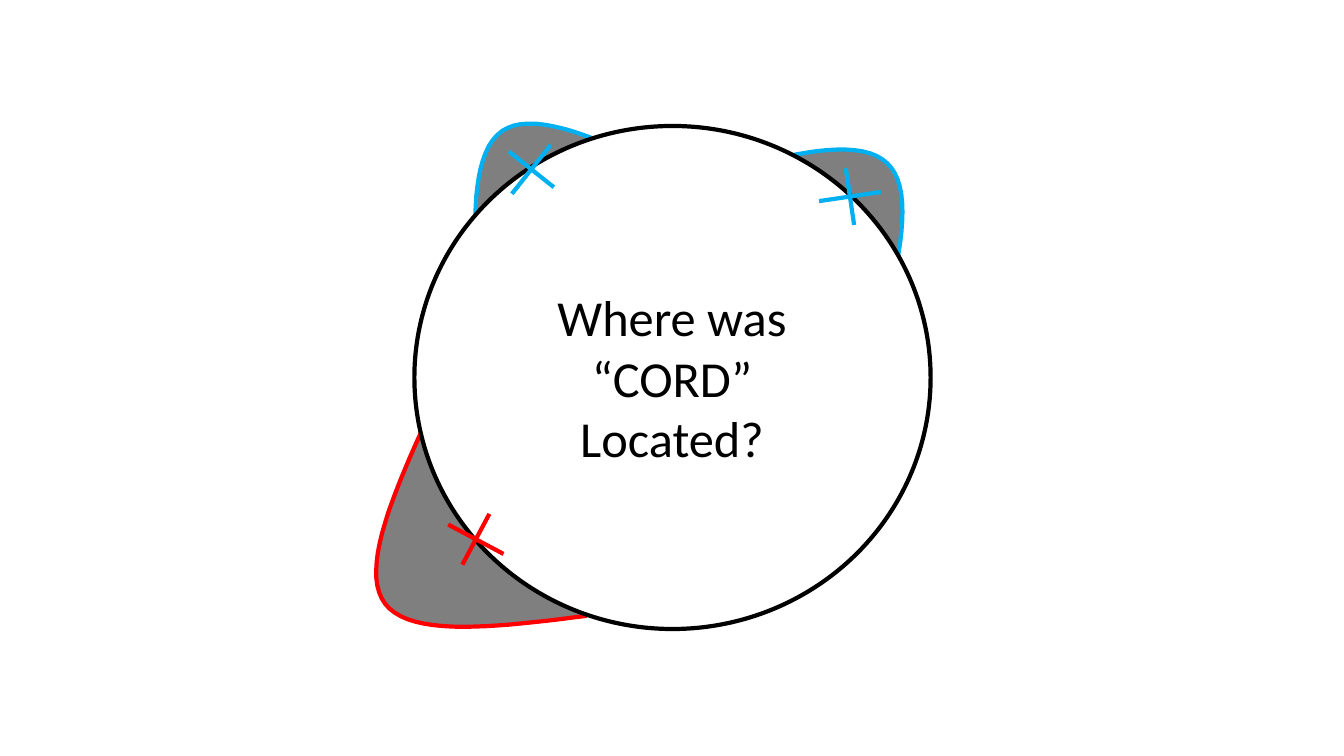
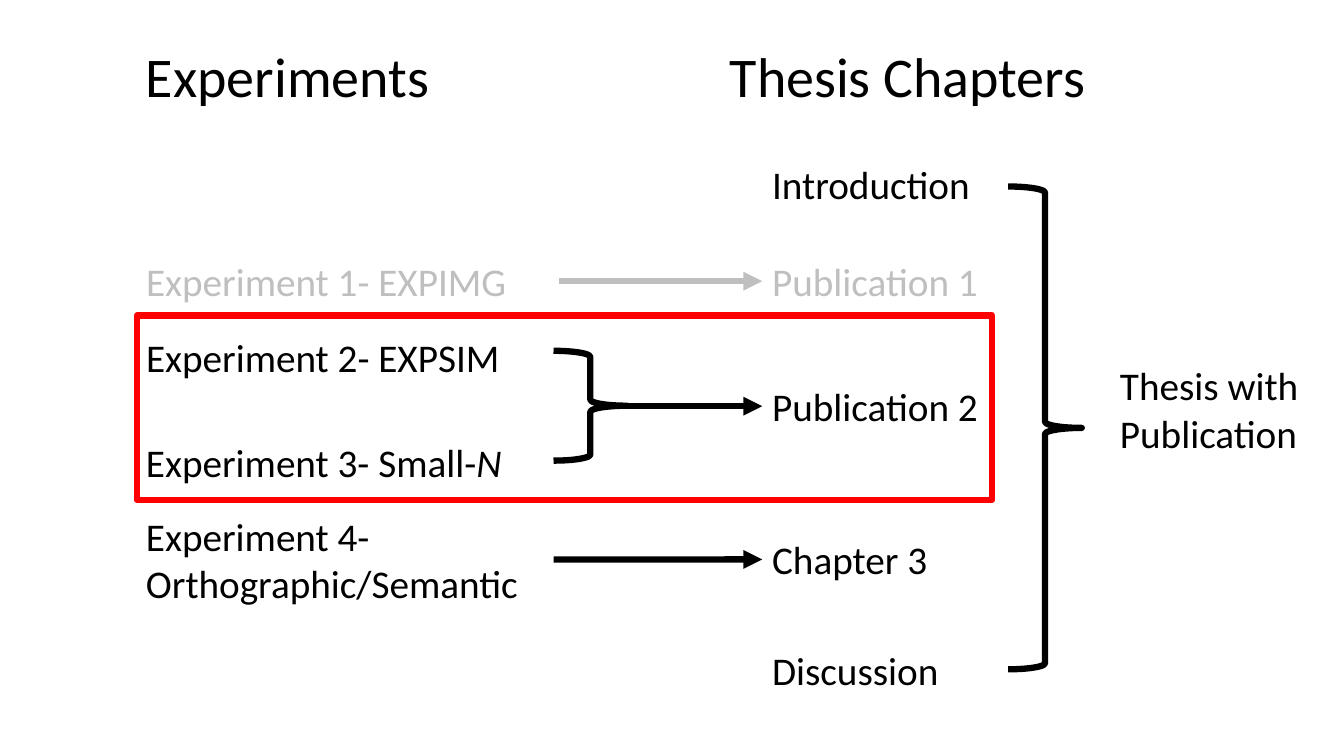
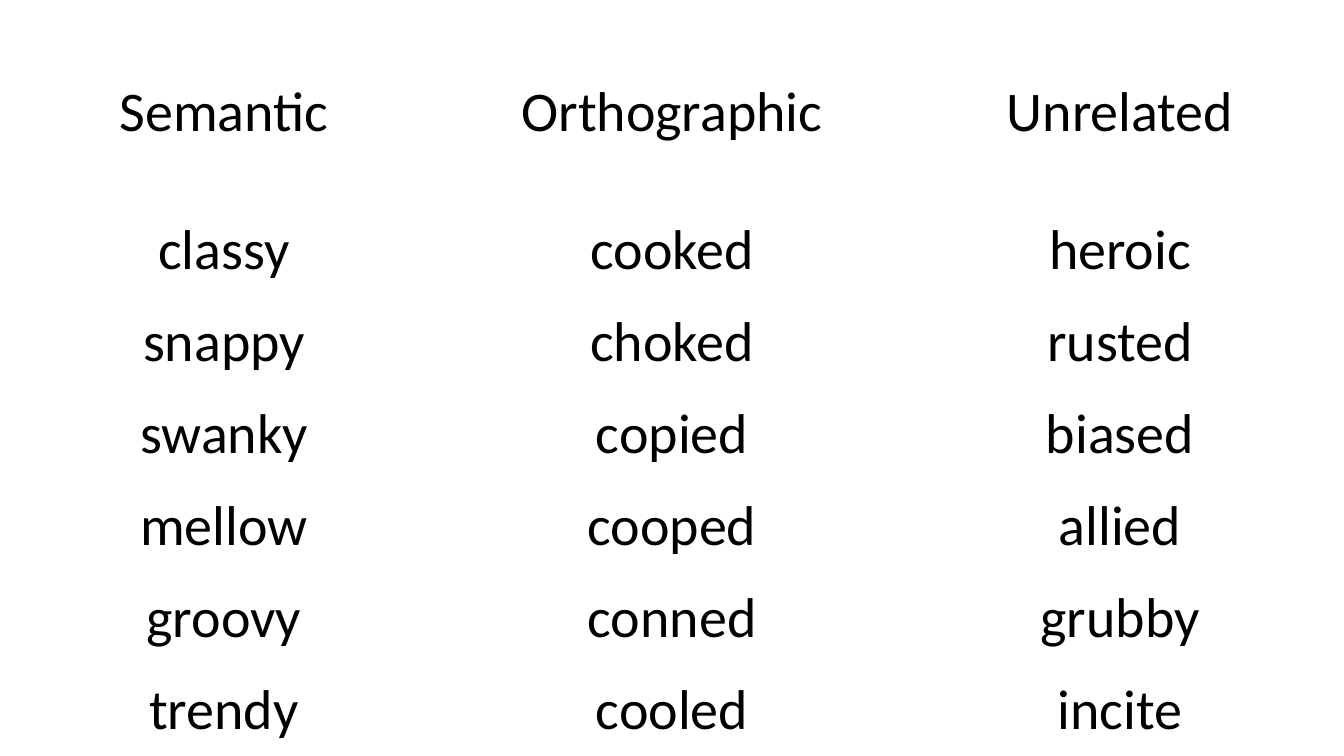
from math import cos, radians, sin

from lxml.etree import SubElement
from pptx import Presentation
from pptx.dml.color import RGBColor
from pptx.enum.shapes import MSO_CONNECTOR, MSO_SHAPE as SHAPE
from pptx.enum.text import MSO_ANCHOR, MSO_AUTO_SIZE, PP_ALIGN
from pptx.oxml.ns import qn
from pptx.util import Inches, Pt

WIDTH, HEIGHT = 13.33, 7.5
FONT = "Calibri"
BLACK, WHITE, FADED = "000000", "FFFFFF", "BFBFBF"
RED, BLUE = "FF0000", "00B0F0"
THIN, THICK = 3, 4.5
HEADING, BODY = 40, 28

# Thesis overview: left edges of the columns and centres of the rows
LEFT_COL, RIGHT_COL = 1.35, 7.56
INTRO_ROW, EXP1_ROW, EXP2_ROW, PUB2_ROW = 1.83, 2.79, 3.54, 4.03
EXP3_ROW, EXP4_ROW, DISCUSSION_ROW = 4.58, 5.55, 6.65

WORDS = [
    ("Semantic", "Orthographic", "Unrelated"),
    ("classy", "cooked", "heroic"),
    ("snappy", "choked", "rusted"),
    ("swanky", "copied", "biased"),
    ("mellow", "cooped", "allied"),
    ("groovy", "conned", "grubby"),
    ("trendy", "cooled", "incite"),
]


def rgb(hex_color):
    return RGBColor.from_string(hex_color)


def style_line(shape, color, width):
    shape.line.color.rgb = rgb(color)
    shape.line.width = Pt(width)


def style_text(tf, size, color=BLACK, align=PP_ALIGN.LEFT):
    for p in tf.paragraphs:
        p.alignment = align
        p.font.size = Pt(size)
        p.font.name = FONT
        p.font.color.rgb = rgb(color)
        for r in p.runs:
            r.font.size, r.font.name = Pt(size), FONT
            r.font.color.rgb = rgb(color)


def add_outline(s, kind, box, color, width, fill=None):
    """Add a preset shape that is hollow unless a fill is given."""
    shape = s.shapes.add_shape(kind, *map(Inches, box))
    shape.shadow.inherit = False
    if fill:
        shape.fill.solid()
        shape.fill.fore_color.rgb = rgb(fill)
    else:
        shape.fill.background()
    style_line(shape, color, width)
    return shape


def add_line(shapes, start, end, color, width):
    line = shapes.add_connector(MSO_CONNECTOR.STRAIGHT, *map(Inches, (*start, *end)))
    style_line(line, color, width)
    SubElement(line._element.spPr, qn("a:effectLst"))
    return line


def add_arrow(s, x, y, target, color=BLACK):
    """Draw an arrow from (x, y) to the left side of the target."""
    arrow = add_line(s.shapes, (x, y), (RIGHT_COL, y), color, THICK)
    arrow.end_connect(target, 1)
    SubElement(arrow.line._get_or_add_ln(), qn("a:tailEnd"), type="triangle")


def add_label(s, text, x, middle, width, size=BODY, color=BLACK,
              height=0.57, wrap=False, align=PP_ALIGN.LEFT):
    """Add a text box whose vertical centre lies at middle."""
    box = s.shapes.add_textbox(*map(Inches, (x, middle - height / 2, width, height)))
    tf = box.text_frame
    tf.word_wrap = wrap
    tf.auto_size = MSO_AUTO_SIZE.SHAPE_TO_FIT_TEXT
    tf.text = text
    style_text(tf, size, color, align)
    return box


def bezier(p0, p1, p2, p3, steps=20):
    """Points along a cubic curve, without its start."""
    for i in range(1, steps + 1):
        t = i / steps
        u = 1 - t
        yield tuple(u**3 * a + 3 * u * u * t * b + 3 * u * t * t * c + t**3 * d
                    for a, b, c, d in zip(p0, p1, p2, p3))


def add_bump(s, knots, color):
    """Add a half-transparent bump: a start point and two cubic curves."""
    points = [*bezier(*knots[:4]), *bezier(*knots[3:])]
    builder = s.shapes.build_freeform(*knots[0], scale=Inches(1))
    # Finer units than an inch keep the curve smooth
    builder = s.shapes.build_freeform(
        *(round(v * 1000) for v in knots[0]), scale=Inches(1) / 1000)
    builder.add_line_segments(
        [(round(x * 1000), round(y * 1000)) for x, y in points], close=False)
    bump = builder.convert_to_shape()
    bump.shadow.inherit = False
    bump.fill.solid()
    bump.fill.fore_color.rgb = rgb(BLACK)
    clr = bump._element.spPr.find(qn("a:solidFill")).find(qn("a:srgbClr"))
    SubElement(clr, qn("a:alpha"), val="50000")
    style_line(bump, color, THIN)


def add_cross(s, cx, cy, angle, color):
    """Add two perpendicular strokes, the longer one at the given angle."""
    group = s.shapes.add_group_shape()
    for length, turn in ((0.62, 0), (0.57, 90)):
        a = radians(angle + turn)
        dx, dy = length / 2 * cos(a), length / 2 * sin(a)
        add_line(group.shapes, (cx - dx, cy - dy), (cx + dx, cy + dy), color, THIN)


def style_cell(cell, text):
    cell.text = text
    cell.vertical_anchor = MSO_ANCHOR.MIDDLE
    cell.margin_left = cell.margin_right = cell.margin_top = Inches(0.01)
    cell.margin_bottom = 0
    style_text(cell.text_frame, HEADING, align=PP_ALIGN.CENTER)
    tc_pr = cell._tc.get_or_add_tcPr()
    for side in ("lnL", "lnR", "lnT", "lnB"):
        ln = SubElement(tc_pr, qn(f"a:{side}"), w=str(Pt(1)))
        SubElement(SubElement(ln, qn("a:solidFill")), qn("a:srgbClr"), val=WHITE)
    cell.fill.background()


def location_slide(s):
    add_bump(s, [(6.8, 1.82), (7.65, 1.57), (8.49, 1.32), (8.8, 1.62),
                 (9.11, 1.91), (8.88, 2.75), (8.66, 3.59)], BLUE)
    add_bump(s, [(4.77, 3.29), (4.7, 2.42), (4.63, 1.54), (4.98, 1.3),
                 (5.33, 1.06), (6.11, 1.45), (6.88, 1.84)], BLUE)
    add_bump(s, [(5.82, 6.11), (4.95, 6.22), (4.08, 6.33), (3.82, 5.99),
                 (3.56, 5.65), (3.92, 4.85), (4.28, 4.06)], RED)
    add_outline(s, SHAPE.OVAL, (4.11, 1.25, 5.12, 4.99), BLACK, THIN, WHITE)
    add_label(s, "Where was\n“CORD”\vLocated?", 5.42, HEIGHT / 2, 2.49,
              size=36, height=1.92, align=PP_ALIGN.CENTER)
    add_cross(s, 4.72, 5.35, 28, RED)
    add_cross(s, 5.27, 1.68, -51.5, BLUE)
    add_cross(s, 8.43, 1.95, -8.4, BLUE)


def thesis_slide(s):
    add_label(s, "Experiments", LEFT_COL, 0.75, 3.04, HEADING, height=0.77)
    add_label(s, "Thesis Chapters", 7.14, 0.75, 3.76, HEADING, height=0.77)

    add_label(s, "Experiment 1- EXPIMG", LEFT_COL, EXP1_ROW, 3.81, color=FADED)
    add_label(s, "Experiment 2- EXPSIM", LEFT_COL, EXP2_ROW, 3.75)
    small_n = add_label(s, "Experiment 3- Small-", LEFT_COL, EXP3_ROW, 3.77)
    p = small_n.text_frame.paragraphs[0]
    p.add_run().text = "N"
    style_text(small_n.text_frame, BODY)
    p.runs[-1].font.italic = True
    add_label(s, "Experiment 4- Orthographic/Semantic", LEFT_COL, EXP4_ROW, 5.88,
              height=1.04, wrap=True).width = Inches(4.2)

    add_label(s, "Introduction", RIGHT_COL, INTRO_ROW, 2.19)
    pub1 = add_label(s, "Publication 1", RIGHT_COL, EXP1_ROW, 2.27, color=FADED)
    pub2 = add_label(s, "Publication 2", RIGHT_COL, PUB2_ROW, 2.27)
    chapter3 = add_label(s, "Chapter 3", RIGHT_COL, EXP4_ROW, 1.85)
    add_label(s, "Discussion", RIGHT_COL, DISCUSSION_ROW, 1.87)
    add_label(s, "Thesis with Publication", 11.01, 4.06, 2.03, height=1.04, wrap=True)

    add_arrow(s, 5.54, EXP1_ROW, pub1, FADED)
    add_arrow(s, 6.01, PUB2_ROW, pub2)
    add_arrow(s, 5.49, EXP4_ROW, chapter3)
    for box in ((5.49, 3.48, 0.73, 1.09), (10, 1.85, 0.73, 4.79)):
        add_outline(s, SHAPE.RIGHT_BRACE, box, BLACK, THICK)
    add_outline(s, SHAPE.RECTANGLE, (1.36, 3.13, 8.48, 1.83), RED, THICK)


def words_slide(s):
    rows, cols = len(WORDS), len(WORDS[0])
    top = 0.2
    unit = (HEIGHT - top) / (rows + 1)  # the heading row is two units high
    table = s.shapes.add_table(rows, cols, 0, Inches(top), Inches(WIDTH),
                               Inches(HEIGHT - top)).table
    table.first_row = table.horz_banding = False
    for col in table.columns:
        col.width = Inches(WIDTH / cols)
    for i, words in enumerate(WORDS):
        table.rows[i].height = Inches(unit * (1 if i else 2))
        for j, word in enumerate(words):
            style_cell(table.cell(i, j), word)


def main():
    prs = Presentation()
    prs.slide_width, prs.slide_height = Inches(WIDTH), Inches(HEIGHT)
    for build in (location_slide, thesis_slide, words_slide):
        build(prs.slides.add_slide(prs.slide_layouts[6]))
    prs.save("out.pptx")


if __name__ == "__main__":
    main()
